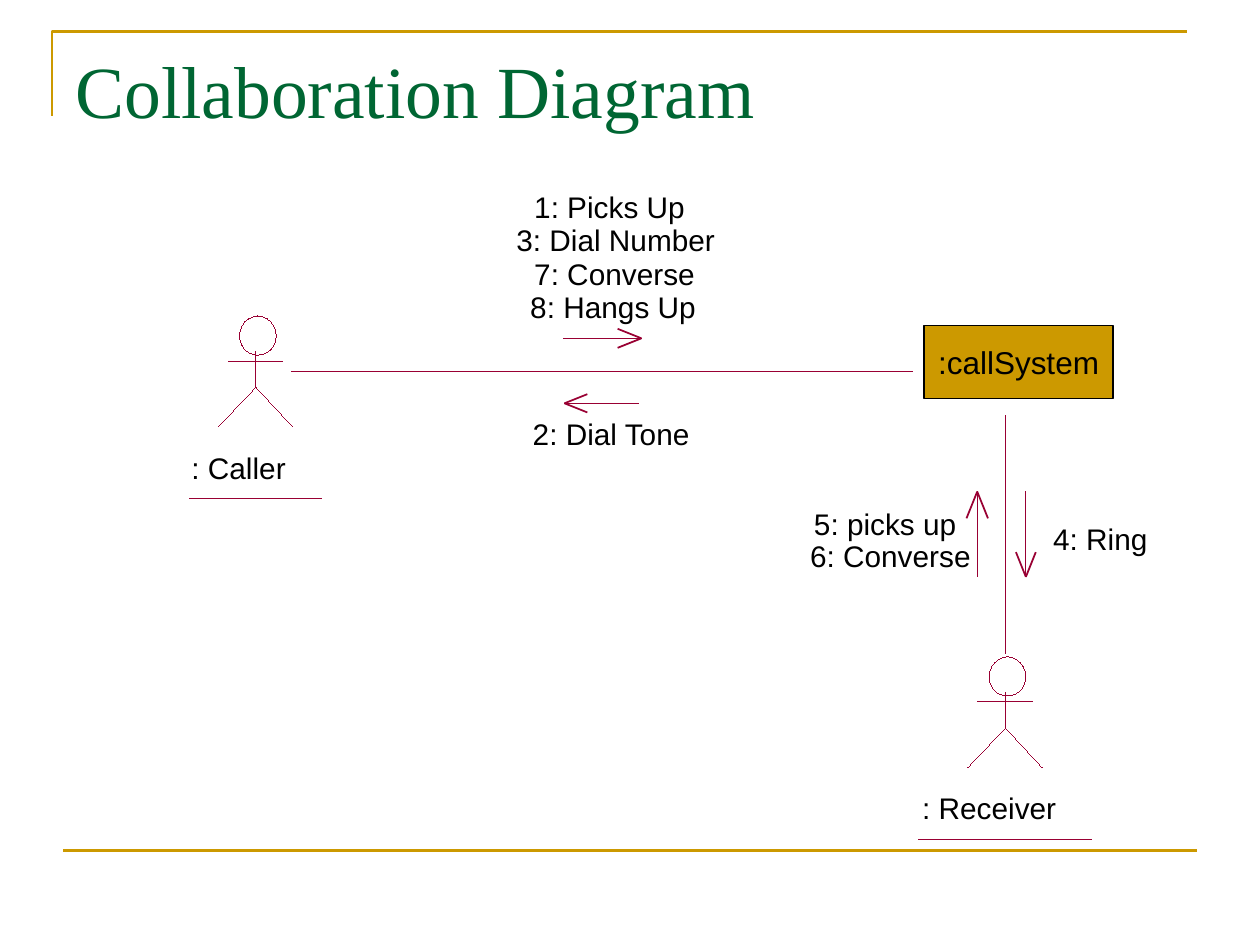
from dataclasses import dataclass

from lxml import etree
from pptx import Presentation
from pptx.dml.color import RGBColor
from pptx.enum.shapes import MSO_CONNECTOR, MSO_SHAPE
from pptx.enum.text import MSO_ANCHOR, MSO_AUTO_SIZE, PP_ALIGN
from pptx.oxml.ns import qn
from pptx.util import Cm, Pt

STRAIGHT = MSO_CONNECTOR.STRAIGHT
OVAL, RECTANGLE = MSO_SHAPE.OVAL, MSO_SHAPE.RECTANGLE
TOP, MIDDLE = MSO_ANCHOR.TOP, MSO_ANCHOR.MIDDLE
FIT_SHAPE = MSO_AUTO_SIZE.SHAPE_TO_FIT_TEXT
CENTER = PP_ALIGN.CENTER


@dataclass(frozen=True)
class Theme:
    gold: RGBColor = RGBColor(0xCC, 0x99, 0x00)
    green: RGBColor = RGBColor(0x00, 0x66, 0x33)
    crimson: RGBColor = RGBColor(0x99, 0x00, 0x33)
    black: RGBColor = RGBColor(0x00, 0x00, 0x00)
    title_font: str = "Times New Roman"
    body_font: str = "Arial"
    title_size: Pt = Pt(42)
    label_size: Pt = Pt(17)
    object_size: Pt = Pt(18)
    hairline: Pt = Pt(0.01)
    arrowhead: Pt = Pt(1)
    outline: Pt = Pt(0.75)
    rule: Pt = Pt(1.5)


theme = Theme()
deck = Presentation()
deck.slide_width, deck.slide_height = Cm(25.4), Cm(19.05)
slide = deck.slides.add_slide(deck.slide_layouts[6])
shapes = slide.shapes


def add_line(x1, y1, x2, y2, color=theme.crimson, width=theme.hairline):
    line = shapes.add_connector(STRAIGHT, Cm(x1), Cm(y1), Cm(x2), Cm(y2))
    line.line.color.rgb = color
    line.line.width = width
    etree.SubElement(line._element.spPr, qn("a:effectLst"))


def add_label(text, left, top, width):
    box = shapes.add_textbox(Cm(left), Cm(top), Cm(width), Cm(0.71))
    frame = box.text_frame
    frame.margin_left = frame.margin_right = 0
    frame.margin_top = frame.margin_bottom = 0
    frame.word_wrap = False
    frame.auto_size = FIT_SHAPE
    para = frame.paragraphs[0]
    para.text = text
    para.font.name = theme.body_font
    para.font.size = theme.label_size
    para.font.color.rgb = theme.black


builder = shapes.build_freeform(Cm(1.05), Cm(2.33))
builder.add_line_segments([(Cm(1.05), Cm(0.64)), (Cm(23.92), Cm(0.64))], close=False)
corner = builder.convert_to_shape()
corner.shadow.inherit = False
corner.fill.background()
corner.line.color.rgb = theme.gold
corner.line.width = theme.rule
add_line(1.27, 17.15, 24.13, 17.15, theme.gold, theme.rule)

title = shapes.add_textbox(Cm(1.27), Cm(0.76), Cm(22.86), Cm(3.18))
frame = title.text_frame
frame.word_wrap = True
frame.vertical_anchor = TOP
frame.margin_top = Cm(0.15)
para = frame.paragraphs[0]
para.text = "Collaboration Diagram"
para.font.name = theme.title_font
para.font.size = theme.title_size
para.font.color.rgb = theme.green

actors = [
    (": Caller", 5.16, 7.8, 3.86, 2, 3.81, 6.48),
    (": Receiver", 20.27, 14.67, 18.59, 2.8, 18.52, 22),
]
for name, spine, hip, label_left, label_width, underline_left, underline_right in actors:
    head = shapes.add_shape(OVAL, Cm(spine - 0.33), Cm(hip - 1.43), Cm(0.74), Cm(0.79))
    builder = shapes.build_freeform(Cm(spine - 0.76), Cm(hip + 0.8))
    builder.add_line_segments(
        [(Cm(spine), Cm(hip)), (Cm(spine + 0.74), Cm(hip + 0.8))], close=False
    )
    legs = builder.convert_to_shape()
    for part in (head, legs):
        part.shadow.inherit = False
        part.fill.background()
        part.line.color.rgb = theme.crimson
        part.line.width = theme.hairline
    add_line(spine, hip - 0.72, spine, hip)
    add_line(spine - 0.56, hip - 0.52, spine + 0.54, hip - 0.52)
    add_label(name, label_left, hip + 1.26, label_width)
    add_line(underline_left, hip + 2.25, underline_right, hip + 2.25)

add_line(5.87, 7.49, 18.39, 7.49)
add_line(20.27, 8.38, 20.27, 13.18)

arrows = [
    (11.35, 6.82, 12.93, 6.82, -0.48, 0),
    (12.88, 8.13, 11.38, 8.13, 0.46, 0),
    (20.68, 9.91, 20.68, 11.63, 0, -0.5),
    (19.7, 11.63, 19.7, 9.91, 0, 0.54),
]
for tail_x, tail_y, tip_x, tip_y, back_x, back_y in arrows:
    add_line(tail_x, tail_y, tip_x, tip_y)
    for side in (-0.4, 0.4):
        wing_x = tip_x + back_x + side * back_y
        wing_y = tip_y + back_y + side * back_x
        add_line(tip_x, tip_y, wing_x, wing_y, theme.crimson, theme.arrowhead)

messages = [
    ("1: Picks Up", 10.77, 3.15),
    ("3: Dial Number", 10.41, 4.1),
    ("7: Converse", 10.77, 3.35),
    ("8: Hangs Up", 10.69, 3.45),
]
for row, (text, left, width) in enumerate(messages):
    add_label(text, left, 3.81 + 0.67 * row, width)
add_label("2: Dial Tone", 10.74, 8.38, 3.35)
add_label("4: Ring", 21.23, 10.49, 2)
add_label("5: picks up", 16.41, 10.19, 3.05)
add_label("6: Converse", 16.33, 10.85, 3.35)

system = shapes.add_shape(RECTANGLE, Cm(18.63), Cm(6.56), Cm(3.81), Cm(1.48))
system.shadow.inherit = False
system.fill.solid()
system.fill.fore_color.rgb = theme.gold
system.line.color.rgb = theme.black
system.line.width = theme.outline
frame = system.text_frame
frame.word_wrap = False
frame.vertical_anchor = MIDDLE
para = frame.paragraphs[0]
para.text = ":callSystem"
para.alignment = CENTER
para.font.name = theme.body_font
para.font.size = theme.object_size
para.font.color.rgb = theme.black

deck.save("out.pptx")
